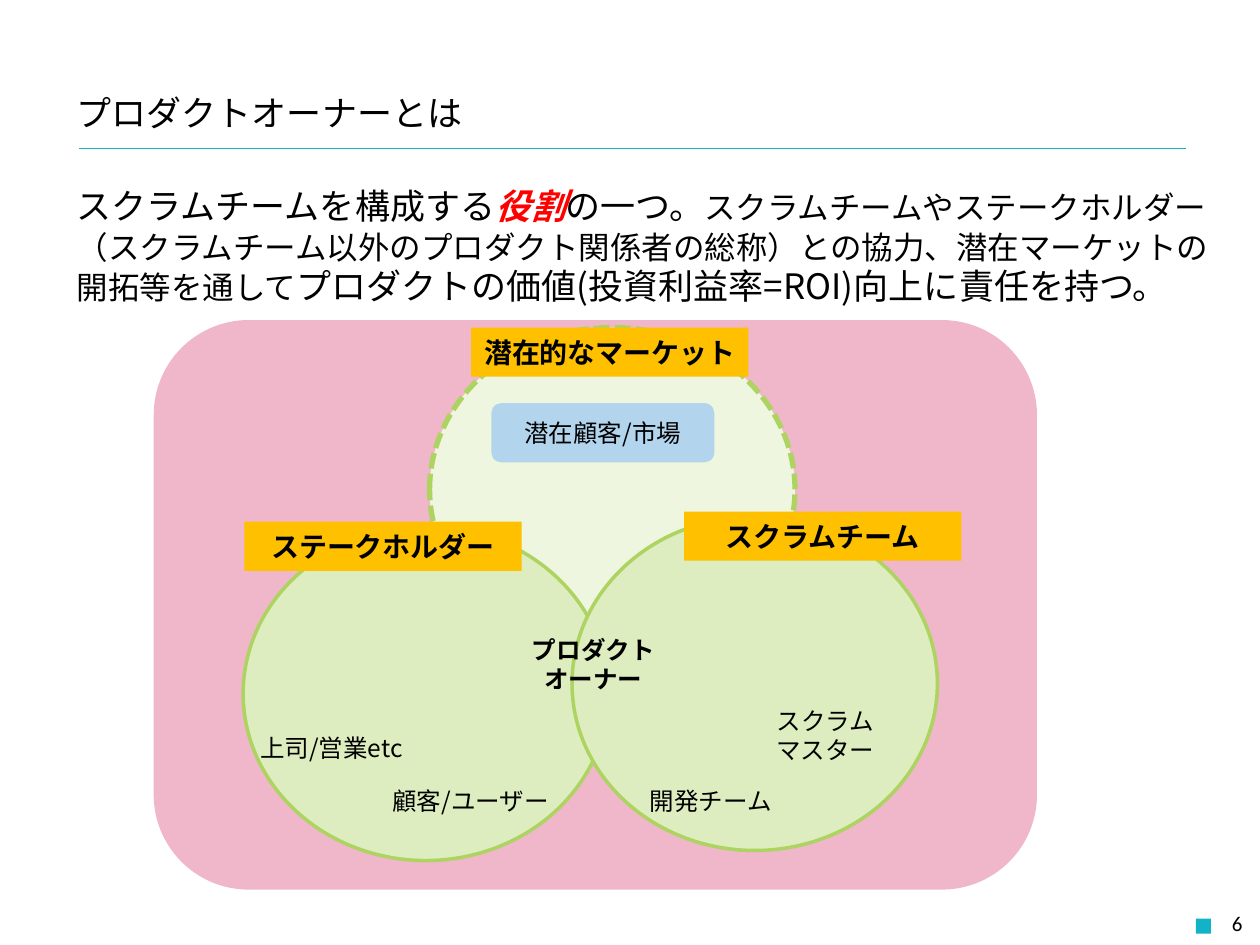
from lxml import etree
from pptx import Presentation
from pptx.dml.color import RGBColor
from pptx.enum.dml import MSO_LINE
from pptx.enum.shapes import MSO_CONNECTOR, MSO_SHAPE
from pptx.enum.text import MSO_ANCHOR, PP_ALIGN
from pptx.oxml.ns import qn
from pptx.util import Inches, Pt

RECT, ROUND, OVAL = MSO_SHAPE.RECTANGLE, MSO_SHAPE.ROUNDED_RECTANGLE, MSO_SHAPE.OVAL
TOP, MID = MSO_ANCHOR.TOP, MSO_ANCHOR.MIDDLE
LEFT, MIDDLE, RIGHT = PP_ALIGN.LEFT, PP_ALIGN.CENTER, PP_ALIGN.RIGHT
DASH = MSO_LINE.SQUARE_DOT
CJK = "Noto Sans CJK JP"
TEAL, PINK, LIME, GOLD, BLUE = "12B3C7", "EFB7C9", "ADD361", "FFC000", "B2D5ED"

TITLE = "プロダクトオーナーとは"
BODY = [
    ("スクラムチームを構成する", 20, {}),
    ("役割", 20, {"bold": True, "italic": True, "color": "FF0000"}),
    ("の一つ。", 20, {}),
    ("スクラムチームやステークホルダー（スクラムチーム以外のプロダクト関係者の総称）"
     "との協力、潜在マーケットの開拓等を通して", 18, {}),
    ("プロダクトの価値(投資利益率=ROI)向上に責任を持つ。", 20, {}),
]
RINGS = [
    (3.41, 2.6, 2.57, "EFF6DF", 3, DASH),
    (1.93, 4.18, 2.65, "DEEDC0", 2, None),
    (4.54, 4.1, 2.65, "DEEDC0", 2, None),
]
ROLES = [
    (["プロダクト", "オーナー"], 3.98, 4.99, 1.46, True),
    (["スクラム", "マスター"], 6.02, 5.56, 1.06, False),
    (["開発チーム"], 4.99, 6.19, 1.3, False),
    (["上司/営業etc"], 1.92, 5.77, 1.42, False),
    (["顧客/ユーザー"], 2.95, 6.19, 1.57, False),
]
TAGS = [
    ("潜在的なマーケット", 3.74, 2.6),
    ("スクラムチーム", 5.43, 4.06),
    ("ステークホルダー", 1.94, 4.14),
]


def rgb(code):
    return RGBColor.from_string(code)


def add_run(para, text, size, color="000000", name=CJK, **looks):
    run = para.add_run()
    run.text = text
    font = run.font
    for key, value in {"size": Pt(size), "name": name, **looks}.items():
        setattr(font, key, value)
    font.color.rgb = rgb(color)
    latin = run._r.rPr.find(qn("a:latin"))
    east = etree.Element(qn("a:ea"), typeface=name)
    latin.addnext(east)


def write(shape, lines, align=LEFT, anchor=TOP, pitch=None):
    frame = shape.text_frame
    frame.word_wrap = True
    frame.vertical_anchor = anchor
    for i, runs in enumerate(lines):
        para = frame.add_paragraph() if i else frame.paragraphs[0]
        para.alignment = align
        if pitch:
            para.line_spacing = Pt(pitch)
        for text, size, looks in runs:
            add_run(para, text, size, **looks)


def add_text(box, lines, **format):
    shape = slide.shapes.add_textbox(*map(Inches, box))
    write(shape, lines, **format)


def add_block(kind, box, fill, line=None, width=0, dash=None):
    shape = slide.shapes.add_shape(kind, *map(Inches, box))
    shape.shadow.inherit = False
    shape.fill.solid()
    shape.fill.fore_color.rgb = rgb(fill)
    if line:
        shape.line.color.rgb = rgb(line)
        shape.line.width = Pt(width)
        if dash:
            shape.line.dash_style = dash
    else:
        shape.line.fill.background()
    return shape


deck = Presentation()
deck.slide_width, deck.slide_height = Inches(10), Inches(7.5)
slide = deck.slides.add_slide(deck.slide_layouts[6])

add_block(RECT, (9.49, 7.29, 0.12, 0.12), TEAL)
rule = slide.shapes.add_connector(
    MSO_CONNECTOR.STRAIGHT, *map(Inches, (0.63, 1.18, 9.41, 1.18)))
rule.line.color.rgb = rgb(TEAL)
rule.line.width = Pt(0.25)
etree.SubElement(rule._element.spPr, qn("a:effectLst"))

add_block(ROUND, (1.22, 2.54, 7.01, 4.52), PINK)
add_text((0.51, 0.72, 6.85, 0.35), [[(TITLE, 20, {})]], anchor=MID)
add_text((0.51, 1.43, 9.21, 5.71), [BODY], pitch=22.8)
add_text((7.63, 7.13, 2.33, 0.4), [[("6", 12, {"name": "Calibri"})]],
         align=RIGHT, anchor=MID)

for x, y, high, fill, width, dash in RINGS:
    add_block(OVAL, (x, y, 2.9, high), fill, LIME, width, dash)

for names, x, y, wide, bold in ROLES:
    high = 0.57 if len(names) > 1 else 0.34
    add_text((x, y, wide, high), [[(name, 14, {"bold": bold})] for name in names],
             align=MIDDLE, pitch=16.6)

for name, x, y in TAGS:
    tag = add_block(RECT, (x, y, 2.2, 0.39), GOLD)
    write(tag, [[(name, 16, {"bold": True})]], MIDDLE, MID)

market = add_block(ROUND, (3.9, 3.2, 1.77, 0.47), BLUE)
write(market, [[("潜在顧客/市場", 14, {})]], MIDDLE, MID)

deck.save("out.pptx")
